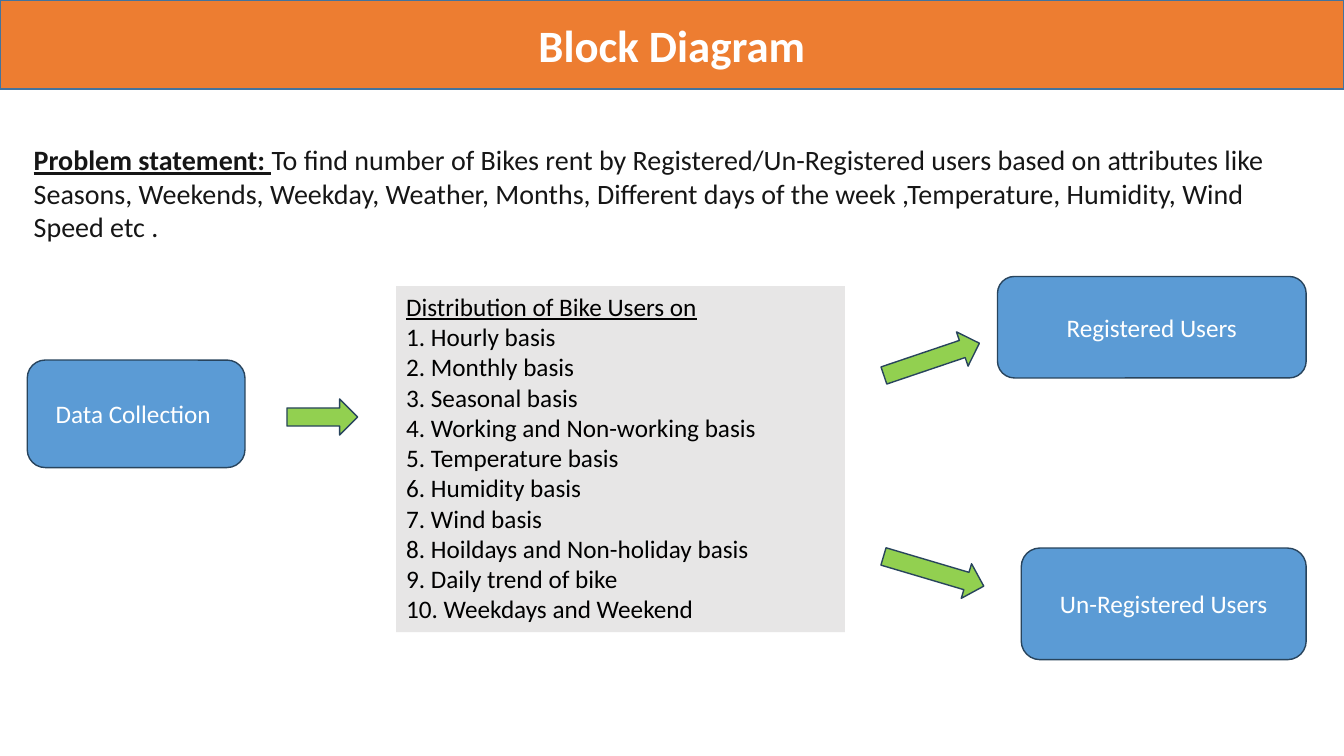
import pptx
import pptx.util
import pptx.dml.color
import pptx.enum.shapes
import pptx.enum.text

Pt = pptx.util.Pt
SHAPE = pptx.enum.shapes.MSO_SHAPE
ALIGN = pptx.enum.text.PP_ALIGN
ANCHOR = pptx.enum.text.MSO_ANCHOR

COLORS = {
    "banner": "ED7D31", "banner_edge": "43739E", "block": "5B9BD5",
    "edge": "28445D", "arrow": "92D050", "panel": "E7E6E6",
    "white": "FFFFFF", "black": "000000", "body": "161616",
}
HEADING = "Block Diagram"
PROBLEM = [
    ("Problem statement: ", True),
    ("To find number of Bikes rent by Registered/Un-Registered users based on "
     "attributes like Seasons, Weekends, Weekday, Weather, Months, Different days "
     "of the week ,Temperature, Humidity, Wind Speed etc .", False),
]
DISTRIBUTION = "Distribution of Bike Users on"
BASES = [
    "Hourly basis", "Monthly basis", "Seasonal basis",
    "Working and Non-working basis", "Temperature basis", "Humidity basis",
    "Wind basis", "Hoildays and Non-holiday basis", "Daily trend of bike",
    "Weekdays and Weekend",
]
BLOCKS = [
    ("Data Collection ", (19.5, 257.2, 155.5, 76.8)),
    ("Un-Registered Users", (729.5, 391.5, 203.5, 79.7)),
    ("Registered Users", (712.5, 197.5, 220.5, 72.5)),
]
ARROWS = [
    ((205, 285, 50.5, 25.8), 0),
    ((629.5, 395.2, 74.7, 25.8), 16.5),
    ((629.5, 243.8, 72, 25.8), -18.7),
]


def color(name):
    return pptx.dml.color.RGBColor.from_string(COLORS[name])


def paint(part, fill, edge=None):
    part.fill.solid()
    part.fill.fore_color.rgb = color(fill)
    if edge:
        part.line.color.rgb = color(edge)
        part.line.width = Pt(1)
    else:
        part.line.fill.background()


def write(paragraph, text, size=18, ink="white", bold=False, underline=False,
          align=ALIGN.LEFT):
    paragraph.alignment = align
    run = paragraph.add_run()
    run.text = text
    run.font.name = "Calibri"
    run.font.size = Pt(size)
    run.font.bold = bold
    run.font.underline = underline
    run.font.color.rgb = color(ink)


def place(kind, box, fill, edge=None):
    part = slide.shapes.add_shape(kind, *map(Pt, box))
    part.shadow.inherit = False
    paint(part, fill, edge)
    part.text_frame.word_wrap = True
    return part


deck = pptx.Presentation()
deck.slide_width, deck.slide_height = Pt(960), Pt(540)
slide = deck.slides.add_slide(deck.slide_layouts[5])

banner = slide.shapes.title
banner.left, banner.top, banner.width, banner.height = map(Pt, (0, 0, 960, 63.5))
paint(banner, "banner", "banner_edge")
banner.text_frame.vertical_anchor = ANCHOR.MIDDLE
write(banner.text_frame.paragraphs[0], HEADING, size=32, bold=True, align=ALIGN.CENTER)

panel = place(SHAPE.RECTANGLE, (283, 204.5, 320.5, 247), "panel")
panel.text_frame.vertical_anchor = ANCHOR.TOP
write(panel.text_frame.paragraphs[0], DISTRIBUTION, ink="black", underline=True)
for number, basis in enumerate(BASES, 1):
    write(panel.text_frame.add_paragraph(), f"{number}. {basis}", ink="black")

problem = slide.shapes.add_textbox(*map(Pt, (17, 98.2, 933, 79.5))).text_frame
problem.word_wrap = True
for text, lead in PROBLEM:
    write(problem.paragraphs[0], text, size=20, ink="body", bold=lead, underline=lead)

for label, box in BLOCKS:
    block = place(SHAPE.ROUNDED_RECTANGLE, box, "block", "edge")
    block.text_frame.vertical_anchor = ANCHOR.MIDDLE
    write(block.text_frame.paragraphs[0], label, align=ALIGN.CENTER)

for box, angle in ARROWS:
    place(SHAPE.RIGHT_ARROW, box, "arrow", "edge").rotation = angle

deck.save("out.pptx")
